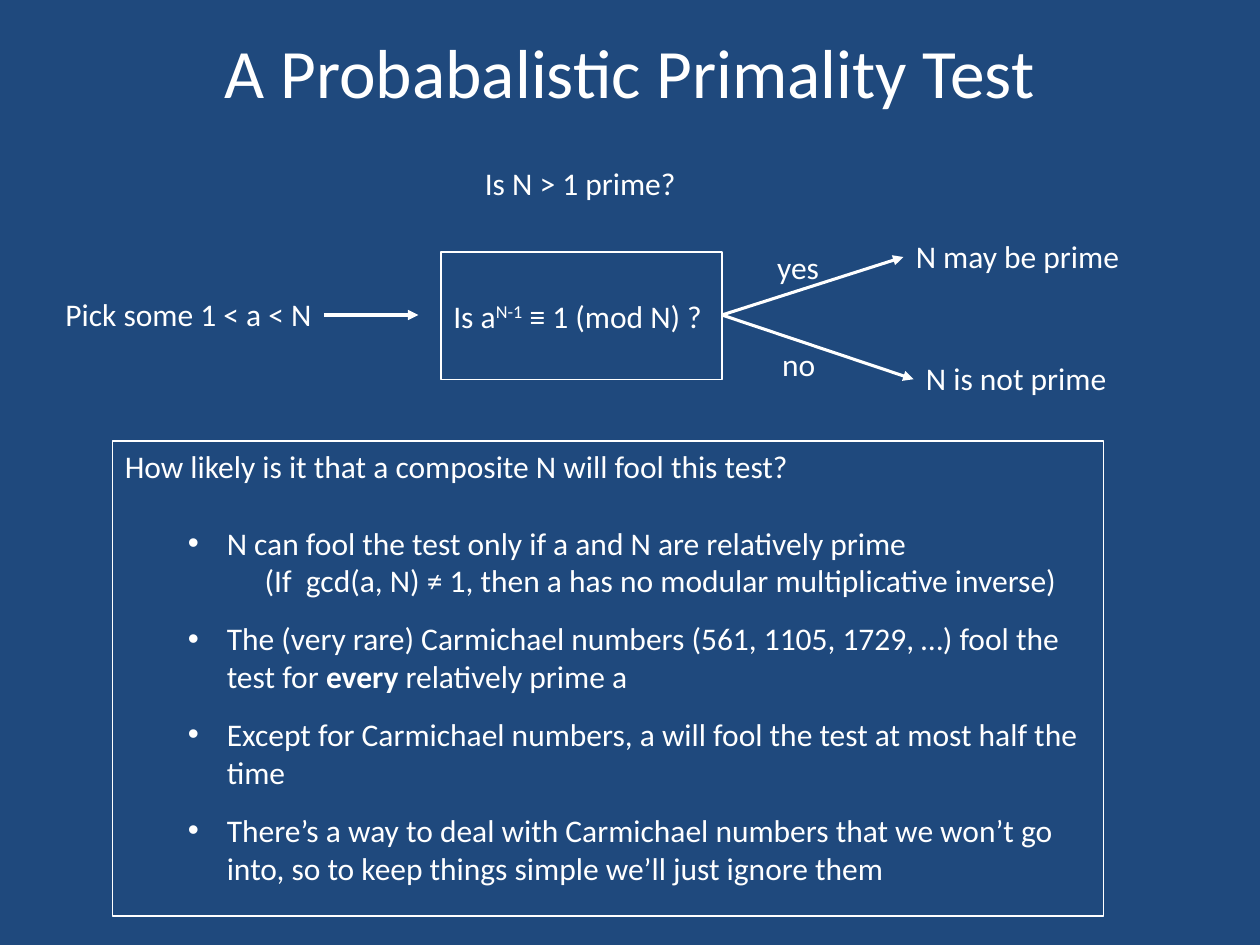
from dataclasses import dataclass

from lxml import etree
from pptx import Presentation
from pptx import util as u
from pptx.dml.color import RGBColor
from pptx.enum import shapes, text
from pptx.oxml import ns


@dataclass(frozen=True)
class Theme:
    background: RGBColor = RGBColor(0x1F, 0x49, 0x7D)
    ink: RGBColor = RGBColor(0xFF, 0xFF, 0xFF)
    font: str = "Calibri"
    title_size: float = 39.6
    body_size: float = 18
    border: float = 0.75
    arrow: float = 1.75


THEME = Theme()
BRANCH_POINT = (5.73, 2.5)

LABELS = [
    ("Pick some 1 < a < N", 0.42, 2.29, 2.18),
    ("Is N > 1 prime?", 3.75, 1.25, 1.74),
    ("N may be prime", 7.17, 1.83, 1.84),
    ("N is not prime", 7.25, 2.8, 1.65),
    ("yes", 6.07, 1.92, 0.54),
    ("no", 6.11, 2.69, 0.47),
]
ARROWS = [
    ((2.57, 2.5), (3.32, 2.5)),
    (BRANCH_POINT, (7.17, 2.04)),
    (BRANCH_POINT, (7.25, 3.01)),
]
QUESTION = "How likely is it that a composite N will fool this test?"
POINTS = [
    ["N can fool the test only if a and N are relatively prime"],
    ["The (very rare) Carmichael numbers (561, 1105, 1729, …) fool the test for ",
     ("every ", {"bold": True}), "relatively prime a"],
    ["Except for Carmichael numbers, a will fool the test at most half the time"],
    ["There’s a way to deal with Carmichael numbers that we won’t go into, "
     "so to keep things simple we’ll just ignore them"],
]
ASIDE = "(If  gcd(a, N) ≠ 1, then a has no modular multiplicative inverse)"


def add_text(paragraph, content, *, size=THEME.body_size, bold=False, raised=False):
    run = paragraph.add_run()
    run.text = content
    run.font.name = THEME.font
    run.font.size = u.Pt(size)
    run.font.bold = bold
    run.font.color.rgb = THEME.ink
    if raised:
        run.font._element.set("baseline", "30000")


def place(shape, left, top, width, height):
    shape.left, shape.top = u.Inches(left), u.Inches(top)
    shape.width, shape.height = u.Inches(width), u.Inches(height)


def outline(shape):
    shape.line.color.rgb = THEME.ink
    shape.line.width = u.Pt(THEME.border)


def add_label(slide, content, left, top, width):
    box = slide.shapes.add_textbox(
        u.Inches(left), u.Inches(top), u.Inches(width), u.Inches(0.4))
    box.text_frame.word_wrap = False
    add_text(box.text_frame.paragraphs[0], content)


def add_arrow(slide, start, end):
    points = [u.Inches(value) for value in (*start, *end)]
    arrow = slide.shapes.add_connector(shapes.MSO_CONNECTOR.STRAIGHT, *points)
    arrow.line.color.rgb = THEME.ink
    arrow.line.width = u.Pt(THEME.arrow)
    etree.SubElement(arrow.line._get_or_add_ln(), ns.qn("a:tailEnd"), type="triangle")
    etree.SubElement(arrow._element.spPr, ns.qn("a:effectLst"))


def add_test_box(slide):
    box = slide.shapes.add_shape(
        shapes.MSO_SHAPE.RECTANGLE,
        u.Inches(3.5), u.Inches(2), u.Inches(2.23), u.Inches(1.01))
    box.shadow.inherit = False
    box.fill.background()
    outline(box)
    frame = box.text_frame
    frame.word_wrap = True
    frame.vertical_anchor = text.MSO_ANCHOR.MIDDLE
    paragraph = frame.paragraphs[0]
    paragraph.alignment = text.PP_ALIGN.LEFT
    add_text(paragraph, "Is a")
    add_text(paragraph, "N-1", raised=True)
    add_text(paragraph, " ≡ 1 (mod N) ?")


def format_paragraph(paragraph, *, level=0, margin=0, hanging=0, bullet=None, before=0):
    properties = paragraph._p.get_or_add_pPr()
    properties.set("marL", str(u.Inches(margin)))
    properties.set("indent", str(-u.Inches(hanging)))
    if bullet:
        etree.SubElement(properties, ns.qn("a:buFont"), typeface="Arial")
        etree.SubElement(properties, ns.qn("a:buChar"), char=bullet)
    else:
        etree.SubElement(properties, ns.qn("a:buNone"))
    paragraph.level = level
    paragraph.space_before = u.Pt(before)


def fill_title(title):
    place(title, 0.5, 0.17, 9, 0.78)
    frame = title.text_frame
    frame.auto_size = text.MSO_AUTO_SIZE.NONE
    frame.vertical_anchor = text.MSO_ANCHOR.MIDDLE
    frame.paragraphs[0].alignment = text.PP_ALIGN.CENTER
    add_text(frame.paragraphs[0], "A Probabalistic Primality Test", size=THEME.title_size)


def fill_discussion(body):
    place(body, 0.89, 3.5, 7.87, 3.77)
    outline(body)
    frame = body.text_frame
    frame.word_wrap = True
    frame.auto_size = text.MSO_AUTO_SIZE.NONE
    frame.vertical_anchor = text.MSO_ANCHOR.TOP
    format_paragraph(frame.paragraphs[0])
    add_text(frame.paragraphs[0], QUESTION)
    for index, parts in enumerate(POINTS):
        paragraph = frame.add_paragraph()
        format_paragraph(paragraph, level=1, margin=0.81, hanging=0.31, bullet="•",
                         before=11.5 if index else 22)
        for part in parts:
            content, style = (part, {}) if isinstance(part, str) else part
            add_text(paragraph, content, **style)
        if index == 0:
            aside = frame.add_paragraph()
            format_paragraph(aside, level=2, margin=1.11)
            add_text(aside, ASIDE)


def main():
    presentation = Presentation()
    presentation.slide_width = u.Inches(10)
    presentation.slide_height = u.Inches(7.5)
    slide = presentation.slides.add_slide(presentation.slide_layouts[1])
    slide.background.fill.solid()
    slide.background.fill.fore_color.rgb = THEME.background
    fill_title(slide.shapes.title)
    fill_discussion(slide.placeholders[1])
    add_test_box(slide)
    for label in LABELS:
        add_label(slide, *label)
    for arrow in ARROWS:
        add_arrow(slide, *arrow)
    presentation.save("out.pptx")


if __name__ == "__main__":
    main()
